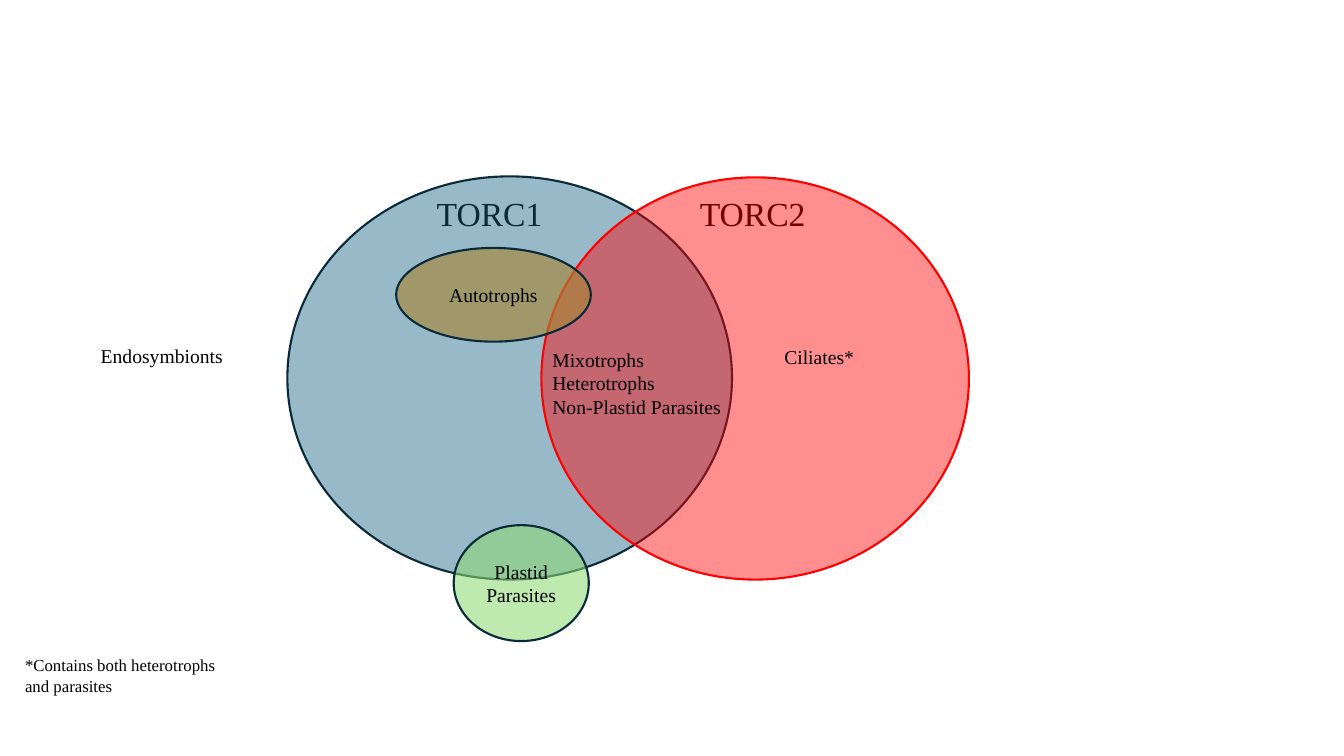
from lxml import etree
from pptx import Presentation
from pptx.dml.color import RGBColor
from pptx.enum.shapes import MSO_SHAPE
from pptx.enum.text import MSO_ANCHOR, MSO_AUTO_SIZE, PP_ALIGN
from pptx.oxml.ns import qn
from pptx.util import Inches, Pt

OVAL = MSO_SHAPE.OVAL
MIDDLE = MSO_ANCHOR.MIDDLE
FIT_SHAPE = MSO_AUTO_SIZE.SHAPE_TO_FIT_TEXT
LEFT, CENTER = PP_ALIGN.LEFT, PP_ALIGN.CENTER

COLORS = {
    "text": "000000",
    "outline": "092A39",
    "torc1": "156082",
    "torc2": "FF0000",
    "autotrophs": "A58537",
    "parasites": "8ED973",
}


class VennSlide:
    """Holds the style and the current slide, and adds its sets and labels."""

    def __init__(self, slide):
        self.slide = slide
        self.font_name = "Times New Roman"
        self.line_width = Pt(1.5)

    def fill_text(self, text_frame, lines, size, alignment):
        text_frame.word_wrap = True
        font_format = {"name": self.font_name, "size": Pt(size)}
        for index, line in enumerate(lines):
            paragraph = text_frame.paragraphs[0] if index == 0 else text_frame.add_paragraph()
            paragraph.alignment = alignment
            run = paragraph.add_run()
            run.text = line
            for attribute, value in font_format.items():
                setattr(run.font, attribute, value)
            run.font.color.rgb = RGBColor.from_string(COLORS["text"])

    def label(self, box, *lines, size=14, alignment=LEFT):
        shape = self.slide.shapes.add_textbox(*map(Inches, box))
        self.fill_text(shape.text_frame, lines, size, alignment)
        shape.text_frame.auto_size = FIT_SHAPE

    def ellipse(self, box, fill, opacity, *lines, line="outline"):
        shape = self.slide.shapes.add_shape(OVAL, *map(Inches, box))
        shape.shadow.inherit = False
        shape.fill.solid()
        shape.fill.fore_color.rgb = RGBColor.from_string(COLORS[fill])
        color = shape.element.spPr.find(qn("a:solidFill")).find(qn("a:srgbClr"))
        etree.SubElement(color, qn("a:alpha"), val=str(opacity * 1000))
        shape.line.color.rgb = RGBColor.from_string(COLORS[line])
        shape.line.width = self.line_width
        shape.text_frame.vertical_anchor = MIDDLE
        self.fill_text(shape.text_frame, lines, 14, CENTER)


def main():
    presentation = Presentation()
    presentation.slide_width = Inches(13.33)
    presentation.slide_height = Inches(7.5)
    venn = VennSlide(presentation.slides.add_slide(presentation.slide_layouts[6]))

    for left, heading in ((6.67, "TORC2"), (4.06, "TORC1")):
        venn.label((left, 1.86, 1.59, 0.5), heading, size=24, alignment=CENTER)

    venn.ellipse((2.85, 1.75, 4.41, 4), "torc1", 44)
    venn.ellipse((5.37, 1.76, 4.24, 3.99), "torc2", 44, line="torc2")

    venn.label((5.38, 3.4, 1.93, 0.81), "Mixotrophs", "Heterotrophs", "Non-Plastid Parasites")
    venn.label((0.9, 3.36, 2.29, 0.34), "Endosymbionts")
    venn.label((7.68, 3.37, 1.72, 0.34), "Ciliates*")
    venn.label((0.15, 6.45, 2.18, 0.5), "*Contains both heterotrophs and parasites", size=12)

    venn.ellipse((3.93, 2.46, 1.93, 0.93), "autotrophs", 64, "Autotrophs")
    venn.ellipse((4.5, 5.21, 1.34, 1.15), "parasites", 57, "Plastid Parasites")

    presentation.save("out.pptx")


if __name__ == "__main__":
    main()
